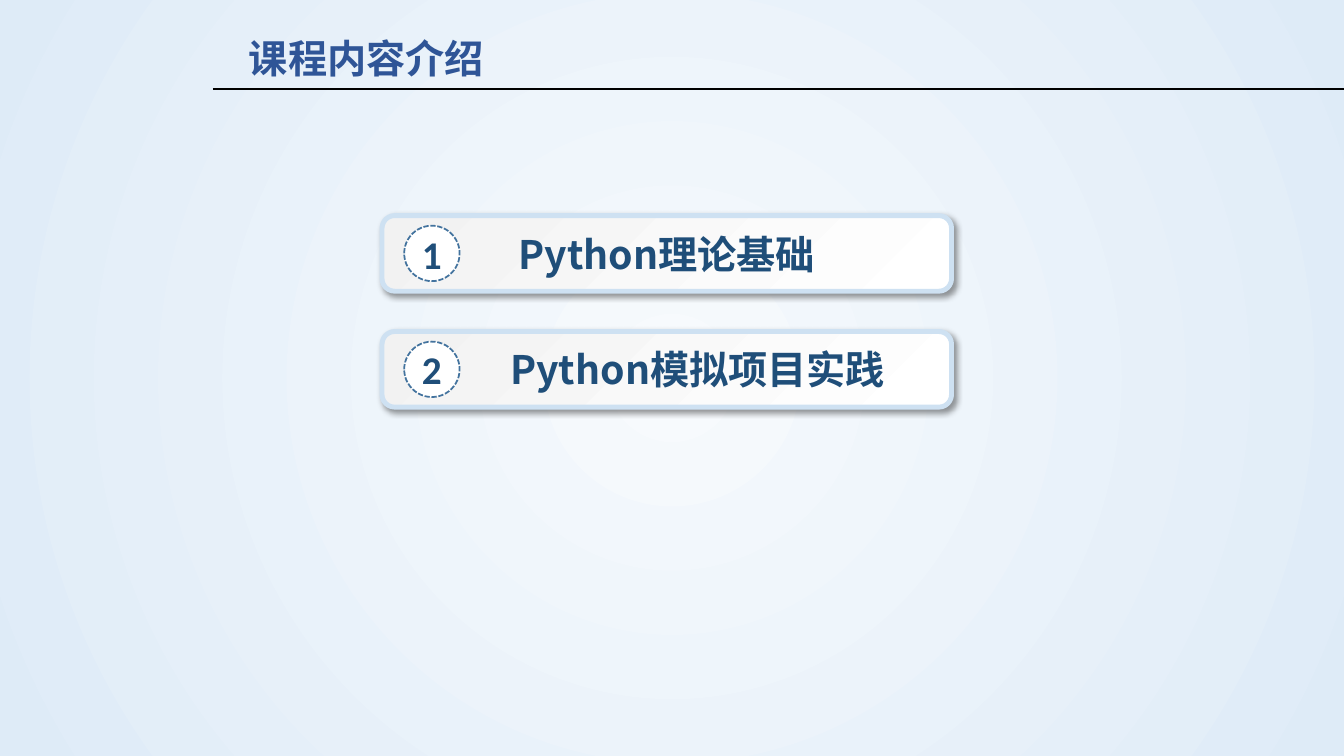
from dataclasses import dataclass

from lxml.etree import SubElement
from pptx import Presentation
from pptx.dml.color import RGBColor
from pptx.dml.fill import FillFormat
from pptx.enum.dml import MSO_LINE
from pptx.enum.shapes import MSO_CONNECTOR, MSO_SHAPE
from pptx.enum.text import MSO_ANCHOR, MSO_AUTO_SIZE, PP_ALIGN
from pptx.oxml.ns import qn
from pptx.shapes.autoshape import Shape
from pptx.slide import Slide
from pptx.text.text import TextFrame
from pptx.util import Pt


@dataclass(frozen=True)
class Theme:
    heading_font: str = "Noto Sans CJK SC"
    number_font: str = "Calibri"
    text_size: float = 28
    title: str = "2F5597"
    text: str = "1F4E79"
    rule: str = "000000"
    shadow: str = "000000"
    badge: str = "FFFFFF"
    badge_line: str = "43739E"
    bar_line: str = "CEE1F2"
    bar_start: str = "F2F2F2"
    bar_end: str = "FFFFFF"
    background_center: str = "F7FAFD"
    background_edge: str = "DEEBF7"


@dataclass(frozen=True)
class Chapter:
    title: str
    indent: float = 0


THEME = Theme()
CHAPTERS = [Chapter("Python理论基础"), Chapter("Python模拟项目实践", 44)]
BAR_LEFT, BAR_TOP, BAR_WIDTH, BAR_HEIGHT, BAR_PITCH = 272.9, 154, 406.8, 54, 83.8 - 8
BAR_PITCH = 82.8
BADGE_SIZE, BADGE_OFFSET = 39.6, 15.8


def color(value: str) -> RGBColor:
    return RGBColor.from_string(value)


def set_gradient(fill: FillFormat, start: str, end: str) -> None:
    fill.gradient()
    for stop, value in zip(fill.gradient_stops, (start, end)):
        stop.color.rgb = color(value)


def set_background(slide: Slide) -> None:
    set_gradient(slide.background.fill, THEME.background_center, THEME.background_edge)
    gradient = next(slide.element.iter(qn("a:gradFill")))
    gradient.remove(gradient.find(qn("a:lin")))
    circle = SubElement(gradient, qn("a:path"), {"path": "circle"})
    SubElement(circle, qn("a:fillToRect"), dict.fromkeys("ltrb", "50000"))


def write_text(frame: TextFrame, text: str, font_name: str, value: str,
               alignment: PP_ALIGN, anchor: MSO_ANCHOR) -> None:
    frame.word_wrap = True
    frame.vertical_anchor = anchor
    paragraph = frame.paragraphs[0]
    paragraph.text = text
    paragraph.alignment = alignment
    font = paragraph.font
    font.name = font_name
    font.size = Pt(THEME.text_size)
    font.bold = True
    font.color.rgb = color(value)
    properties = next(paragraph._p.iter(qn("a:defRPr")))
    SubElement(properties, qn("a:ea"), {"typeface": font_name})


def add_title(slide: Slide, text: str) -> None:
    title = slide.shapes.title
    title.left, title.top, title.width, title.height = Pt(170.6), Pt(20.9), Pt(218.9), Pt(41)
    write_text(title.text_frame, text, THEME.heading_font, THEME.title,
               PP_ALIGN.LEFT, MSO_ANCHOR.TOP)
    title.text_frame.auto_size = MSO_AUTO_SIZE.SHAPE_TO_FIT_TEXT


def add_rule(slide: Slide) -> None:
    rule = slide.shapes.add_connector(
        MSO_CONNECTOR.STRAIGHT, Pt(152), Pt(63.4), Pt(960), Pt(63.4))
    rule.line.color.rgb = color(THEME.rule)
    rule.line.width = Pt(1.25)
    SubElement(rule._element.spPr, qn("a:effectLst"))


def set_outline(shape: Shape, value: str, width: float) -> None:
    shape.line.color.rgb = color(value)
    shape.line.width = Pt(width)
    shape.shadow.inherit = False


def add_shadow(shape: Shape) -> None:
    effects = shape._element.spPr.find(qn("a:effectLst"))
    shadow = SubElement(effects, qn("a:outerShdw"), {
        "blurRad": str(Pt(4)), "dist": str(Pt(3)), "dir": str(45 * 60000),
        "algn": "tl", "rotWithShape": "0"})
    tint = SubElement(shadow, qn("a:srgbClr"), {"val": THEME.shadow})
    SubElement(tint, qn("a:alpha"), {"val": "40000"})


def add_chapter(slide: Slide, number: int, chapter: Chapter) -> None:
    top = BAR_TOP + (number - 1) * BAR_PITCH
    group = slide.shapes.add_group_shape()

    bar = group.shapes.add_shape(MSO_SHAPE.ROUNDED_RECTANGLE, Pt(BAR_LEFT), Pt(top),
                                 Pt(BAR_WIDTH), Pt(BAR_HEIGHT))
    set_gradient(bar.fill, THEME.bar_start, THEME.bar_end)
    bar.fill.gradient_angle = 315
    set_outline(bar, THEME.bar_line, 3.5)
    add_shadow(bar)
    write_text(bar.text_frame, chapter.title, THEME.heading_font, THEME.text,
               PP_ALIGN.CENTER, MSO_ANCHOR.MIDDLE)
    bar.text_frame.margin_left = Pt(7.2 + chapter.indent)

    badge = group.shapes.add_shape(
        MSO_SHAPE.OVAL, Pt(BAR_LEFT + BADGE_OFFSET),
        Pt(top + (BAR_HEIGHT - BADGE_SIZE) / 2), Pt(BADGE_SIZE), Pt(BADGE_SIZE))
    badge.fill.solid()
    badge.fill.fore_color.rgb = color(THEME.badge)
    set_outline(badge, THEME.badge_line, 1.25)
    badge.line.dash_style = MSO_LINE.SQUARE_DOT
    frame = badge.text_frame
    write_text(frame, str(number), THEME.number_font, THEME.text,
               PP_ALIGN.CENTER, MSO_ANCHOR.MIDDLE)
    frame.margin_left = frame.margin_right = frame.margin_top = frame.margin_bottom = 0


def main() -> None:
    """Build the course outline slide."""
    presentation = Presentation()
    presentation.slide_width, presentation.slide_height = Pt(960), Pt(540)
    slide = presentation.slides.add_slide(presentation.slide_layouts[5])
    set_background(slide)
    add_rule(slide)
    add_title(slide, "课程内容介绍")
    for number, chapter in enumerate(CHAPTERS, start=1):
        add_chapter(slide, number, chapter)
    presentation.save("out.pptx")


if __name__ == "__main__":
    main()
